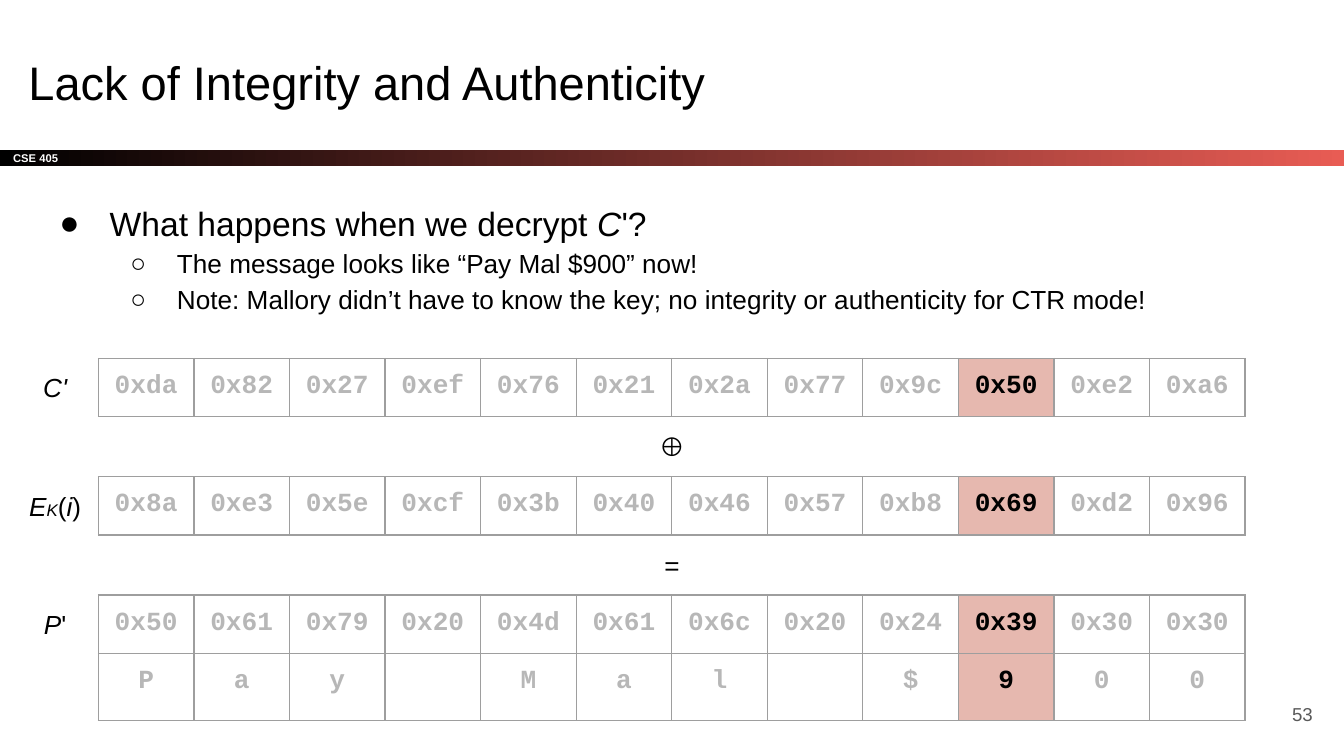
from dataclasses import dataclass, field
from typing import Any, NamedTuple

from lxml.etree import SubElement
from pptx import Presentation
from pptx.dml.color import RGBColor
from pptx.enum.shapes import MSO_SHAPE
from pptx.enum.text import MSO_ANCHOR, MSO_AUTO_SIZE, PP_ALIGN
from pptx.oxml import parse_xml
from pptx.oxml.ns import nsdecls, qn
from pptx.util import Pt


@dataclass(frozen=True)
class Theme:
    sans: str = "Arial"
    mono: str = "Courier New"
    ink: str = "000000"
    paper: str = "FFFFFF"
    muted: str = "B7B7B7"
    page: str = "595959"
    border: str = "9E9E9E"
    highlight: str = "E6B8AF"
    accent: str = "E85C54"
    title_size: float = 25.2
    lead_size: float = 18
    text_size: float = 14
    page_size: float = 10
    subscript_size: float = 9
    course_size: float = 6


THEME = Theme()
INSET = 7.2
COLUMN_WIDTH = 51.2
ROW_HEIGHT = 31


class Box(NamedTuple):
    left: float
    top: float
    width: float
    height: float


@dataclass(frozen=True)
class Span:
    text: str
    size: float = THEME.text_size
    color: str = THEME.ink
    italic: bool = False
    bold: bool = False
    face: str = THEME.sans


@dataclass(frozen=True)
class Bullet:
    spans: list[Span]
    level: int
    symbol: str
    margin: float
    hanging: float


@dataclass(frozen=True)
class ByteBlock:
    label: list[Span]
    rows: list[list[str]]
    operator: str = field(default="")


def apply_format(target: Any, values: dict[str, Any]) -> None:
    for name, value in values.items():
        setattr(target, name, value)


def place(shape: Any, box: Box) -> None:
    apply_format(shape, {name: Pt(value) for name, value in box._asdict().items()})


def set_margins(target: Any) -> None:
    apply_format(target, {f"margin_{side}": Pt(INSET)
                          for side in ("left", "right", "top", "bottom")})


def write_spans(paragraph: Any, spans: list[Span]) -> None:
    for span in spans:
        run = paragraph.add_run()
        run.text = span.text
        apply_format(run.font, {"name": span.face, "size": Pt(span.size),
                                "bold": span.bold, "italic": span.italic})
        run.font.color.rgb = RGBColor.from_string(span.color)


def format_frame(frame: Any, anchor: Any = MSO_ANCHOR.TOP,
                 fit: Any = MSO_AUTO_SIZE.NONE) -> None:
    apply_format(frame, {"word_wrap": True, "auto_size": fit, "vertical_anchor": anchor})
    set_margins(frame)


def add_text(slide: Any, box: Box, spans: list[Span], align: Any = PP_ALIGN.CENTER,
             anchor: Any = MSO_ANCHOR.TOP, fit: Any = MSO_AUTO_SIZE.SHAPE_TO_FIT_TEXT) -> None:
    frame = slide.shapes.add_textbox(*map(Pt, box)).text_frame
    format_frame(frame, anchor, fit)
    frame.paragraphs[0].alignment = align
    write_spans(frame.paragraphs[0], spans)


def add_course_band(slide: Any, box: Box, course: str) -> None:
    band = slide.shapes.add_shape(MSO_SHAPE.RECTANGLE, *map(Pt, box))
    band.shadow.inherit = False
    band.line.fill.background()
    band.fill.gradient()
    band.fill.gradient_angle = 0
    for stop, color in zip(band.fill.gradient_stops, (THEME.ink, THEME.accent)):
        stop.color.rgb = RGBColor.from_string(color)
    format_frame(band.text_frame, MSO_ANCHOR.MIDDLE)
    paragraph = band.text_frame.paragraphs[0]
    paragraph.alignment = PP_ALIGN.LEFT
    write_spans(paragraph, [Span(course, THEME.course_size, THEME.paper, bold=True)])


def fill_title(title: Any, box: Box, text: str) -> None:
    place(title, box)
    format_frame(title.text_frame)
    paragraph = title.text_frame.paragraphs[0]
    paragraph.alignment = PP_ALIGN.LEFT
    write_spans(paragraph, [Span(text, THEME.title_size)])


def fill_bullets(body: Any, box: Box, bullets: list[Bullet]) -> None:
    place(body, box)
    frame = body.text_frame
    format_frame(frame)
    for index, bullet in enumerate(bullets):
        paragraph = frame.add_paragraph() if index else frame.paragraphs[0]
        apply_format(paragraph, {"level": bullet.level, "line_spacing": 1.15,
                                 "space_before": Pt(0), "space_after": Pt(0)})
        properties = paragraph._p.get_or_add_pPr()
        properties.set("marL", str(Pt(bullet.margin)))
        properties.set("indent", str(-Pt(bullet.hanging)))
        color = SubElement(properties, qn("a:buClr"))
        SubElement(color, qn("a:srgbClr"), val=THEME.ink)
        SubElement(properties, qn("a:buFont"), typeface=THEME.sans)
        SubElement(properties, qn("a:buChar"), char=bullet.symbol)
        write_spans(paragraph, bullet.spans)


def add_cell_borders(cell: Any) -> None:
    properties = cell._tc.get_or_add_tcPr()
    for position, side in enumerate("LRTB"):
        properties.insert(position, parse_xml(
            f'<a:ln{side} {nsdecls("a")} w="{Pt(0.75)}"><a:solidFill>'
            f'<a:srgbClr val="{THEME.border}"/></a:solidFill></a:ln{side}>'))


def add_byte_table(slide: Any, box: Box, rows: list[list[str]], changed: int) -> None:
    holder = slide.shapes.add_table(len(rows), len(rows[0]), *map(Pt, box))
    table = holder.table
    apply_format(table, {"first_row": False, "horz_banding": False})
    for column in table.columns:
        column.width = Pt(COLUMN_WIDTH)
    for row, values in zip(table.rows, rows):
        row.height = Pt(ROW_HEIGHT)
        for index, (cell, value) in enumerate(zip(row.cells, values)):
            set_margins(cell)
            cell.fill.background()
            color = THEME.muted
            if index == changed:
                cell.fill.solid()
                cell.fill.fore_color.rgb = RGBColor.from_string(THEME.highlight)
                color = THEME.ink
            add_cell_borders(cell)
            if value:
                paragraph = cell.text_frame.paragraphs[0]
                paragraph.alignment = PP_ALIGN.CENTER
                write_spans(paragraph, [Span(value, color=color, bold=True, face=THEME.mono)])
    # Row and column sizes reset the frame, so it is placed last
    place(holder, box)


def hex_row(digits: str) -> list[str]:
    return [f"0x{pair}" for pair in digits.split()]


BULLETS = [
    Bullet([Span("What happens when we decrypt ", THEME.lead_size),
            Span("C", THEME.lead_size, italic=True), Span("'?", THEME.lead_size)],
           0, "●", 36, 27),
    *(Bullet([Span(text)], 1, "○", 72, 25) for text in (
        "The message looks like “Pay Mal $900” now!",
        "Note: Mallory didn’t have to know the key; no integrity or authenticity for CTR mode!")),
]
BLOCKS = [
    ByteBlock([Span("C'", italic=True)],
              [hex_row("da 82 27 ef 76 21 2a 77 9c 50 e2 a6")], "⊕"),
    ByteBlock([Span("E", italic=True), Span("K", THEME.subscript_size, italic=True),
               Span("("), Span("i", italic=True), Span(")")],
              [hex_row("8a e3 5e cf 3b 40 46 57 b8 69 d2 96")], "="),
    ByteBlock([Span("P", italic=True), Span("'")],
              [hex_row("50 61 79 20 4d 61 6c 20 24 39 30 30"),
               [letter.strip() for letter in "Pay Mal $900"]]),
]
CHANGED_BYTE = 9


def main() -> None:
    deck = Presentation()
    apply_format(deck, {"slide_width": Pt(720), "slide_height": Pt(405)})
    slide = deck.slides.add_slide(deck.slide_layouts[1])
    # Heading, band and bullets
    add_course_band(slide, Box(0, 80.2, 720, 8.6), "CSE 405")
    fill_title(slide.shapes.title, Box(8, 21.6, 671, 45.4), "Lack of Integrity and Authenticity")
    fill_bullets(slide.placeholders[1], Box(15.6, 98.2, 671, 131.8), BULLETS)
    # Byte tables with their labels and operators
    for index, block in enumerate(BLOCKS):
        top = 192 + 63.4 * index
        add_byte_table(slide, Box(52.7, top, 236.2, 236.2), block.rows, CHANGED_BYTE)
        add_text(slide, Box(8, top, 43.2, 31.6), block.label)
        if block.operator:
            add_text(slide, Box(338.4, top + 31.6, 43.2, 31.6), [Span(block.operator)])
    # Page number
    add_text(slide, Box(667.2, 367.2, 43.2, 31), [Span("53", THEME.page_size, THEME.page)],
             PP_ALIGN.RIGHT, MSO_ANCHOR.MIDDLE, MSO_AUTO_SIZE.NONE)
    deck.save("out.pptx")


if __name__ == "__main__":
    main()
